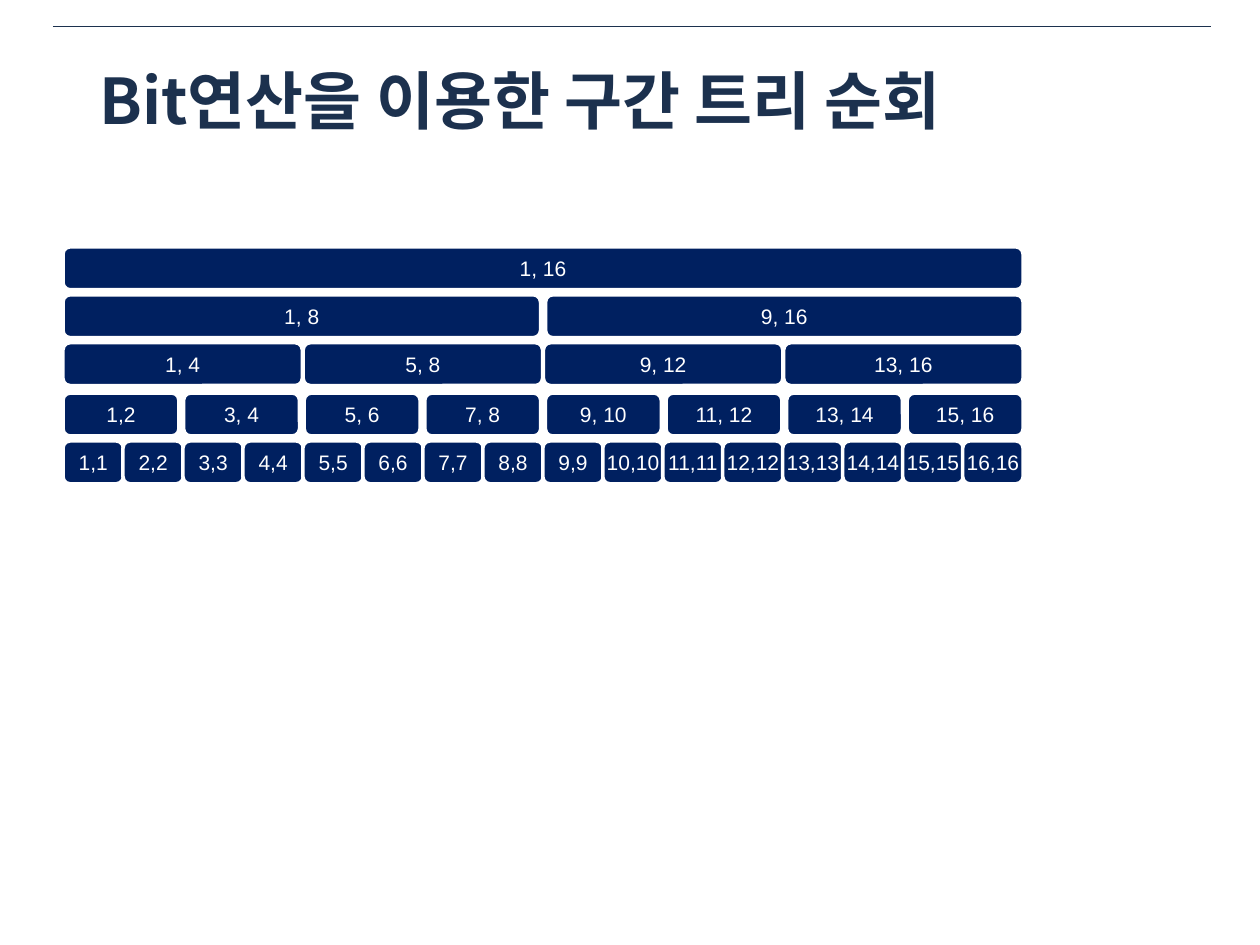
"""Build a slide showing the levels of a segment tree over 16 elements."""
from lxml.etree import SubElement
from pptx import Presentation
from pptx.dml.color import RGBColor
from pptx.enum.shapes import MSO_CONNECTOR, MSO_SHAPE
from pptx.enum.text import MSO_ANCHOR, PP_ALIGN
from pptx.oxml.ns import qn
from pptx.util import Pt

TITLE_COLOR = RGBColor(0x1C, 0x31, 0x4E)
NODE_COLOR = RGBColor(0x00, 0x20, 0x60)
WHITE = RGBColor(0xFF, 0xFF, 0xFF)


def write_text(shape, text, *, size, font, color, bold=False,
               align=PP_ALIGN.LEFT, wrap=True, side=7.2, edge=3.6):
    frame = shape.text_frame
    frame.word_wrap = wrap
    frame.vertical_anchor = MSO_ANCHOR.MIDDLE
    frame.margin_left = frame.margin_right = Pt(side)
    frame.margin_top = frame.margin_bottom = Pt(edge)
    paragraph = frame.paragraphs[0]
    paragraph.alignment = align
    run = paragraph.add_run()
    run.text = text
    run.font.size = Pt(size)
    run.font.bold = bold
    run.font.color.rgb = color
    run.font.name = font
    SubElement(run.font._element, qn("a:ea"), typeface=font)


presentation = Presentation()
presentation.slide_width = Pt(720)
presentation.slide_height = Pt(540)
slide = presentation.slides.add_slide(presentation.slide_layouts[6])

rule = slide.shapes.add_connector(
    MSO_CONNECTOR.STRAIGHT, Pt(30.24), Pt(15.12), Pt(691.92), Pt(15.12))
rule.line.color.rgb = TITLE_COLOR
rule.line.width = Pt(0.25)
SubElement(rule._element.spPr, qn("a:effectLst"))

title = slide.shapes.add_textbox(Pt(49.68), Pt(28.8), Pt(620.64), Pt(56.16))
write_text(title, "Bit연산을 이용한 구간 트리 순회", size=36,
           font="Noto Sans CJK KR", color=TITLE_COLOR, bold=True)

TREE_LEFT = 36
TREE_WIDTH = 548.64
NODE_HEIGHT = 24.48
LEAF_COUNT = 16
LEVELS = [
    (141.12, 1, TREE_WIDTH),
    (168.48, 2, 272.88),
    (195.84, 4, 136.8),
    (224.64, 8, 66.24),
    (252, 16, 34.56),
]

for top, count, width in LEVELS:
    pitch = (TREE_WIDTH - width) / max(count - 1, 1)
    span = LEAF_COUNT // count
    for index in range(count):
        first = index * span + 1
        last = first + span - 1
        separator = "," if span == 1 or last == 2 else ", "
        node = slide.shapes.add_shape(
            MSO_SHAPE.ROUNDED_RECTANGLE, Pt(TREE_LEFT + index * pitch),
            Pt(top), Pt(width), Pt(NODE_HEIGHT))
        node.shadow.inherit = False
        node.fill.solid()
        node.fill.fore_color.rgb = NODE_COLOR
        node.line.color.rgb = WHITE
        node.line.width = Pt(2)
        write_text(node, f"{first}{separator}{last}", size=12, font="Arial",
                   color=WHITE, align=PP_ALIGN.CENTER, wrap=False,
                   side=0, edge=2.88)

presentation.save("out.pptx")
